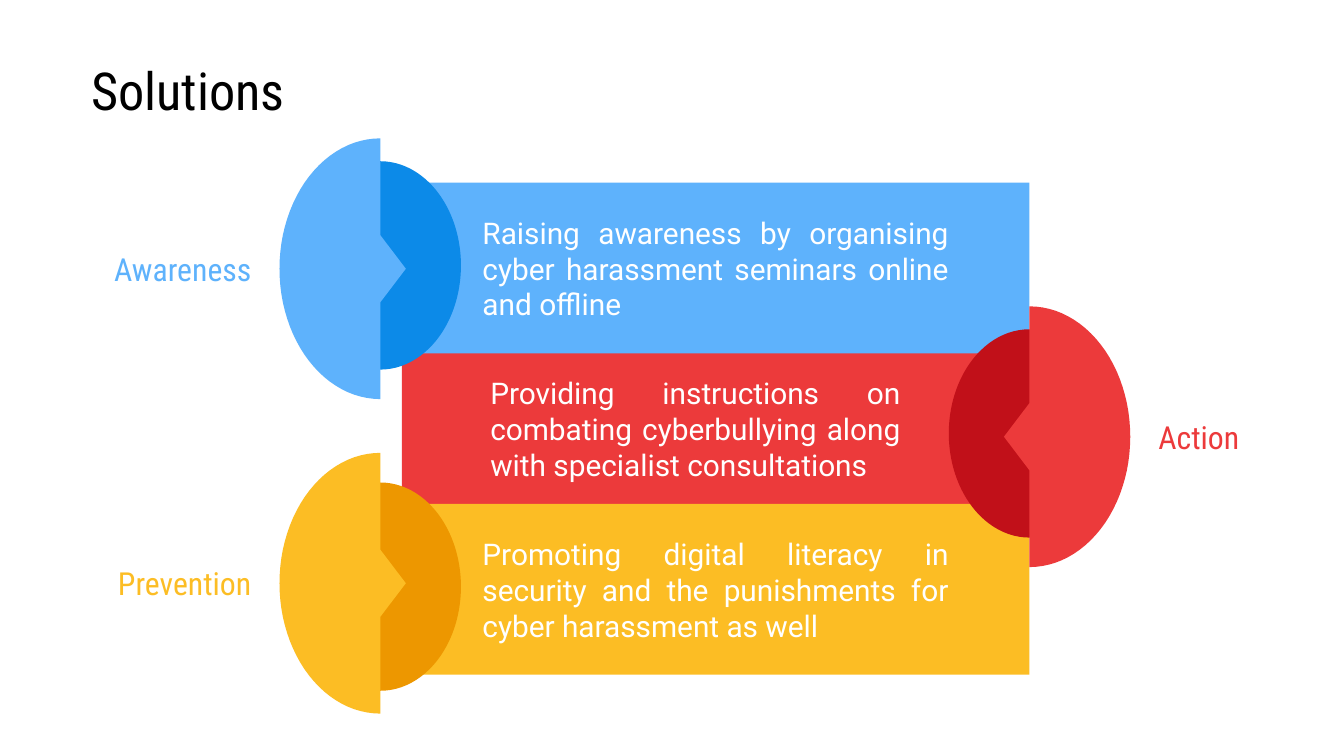
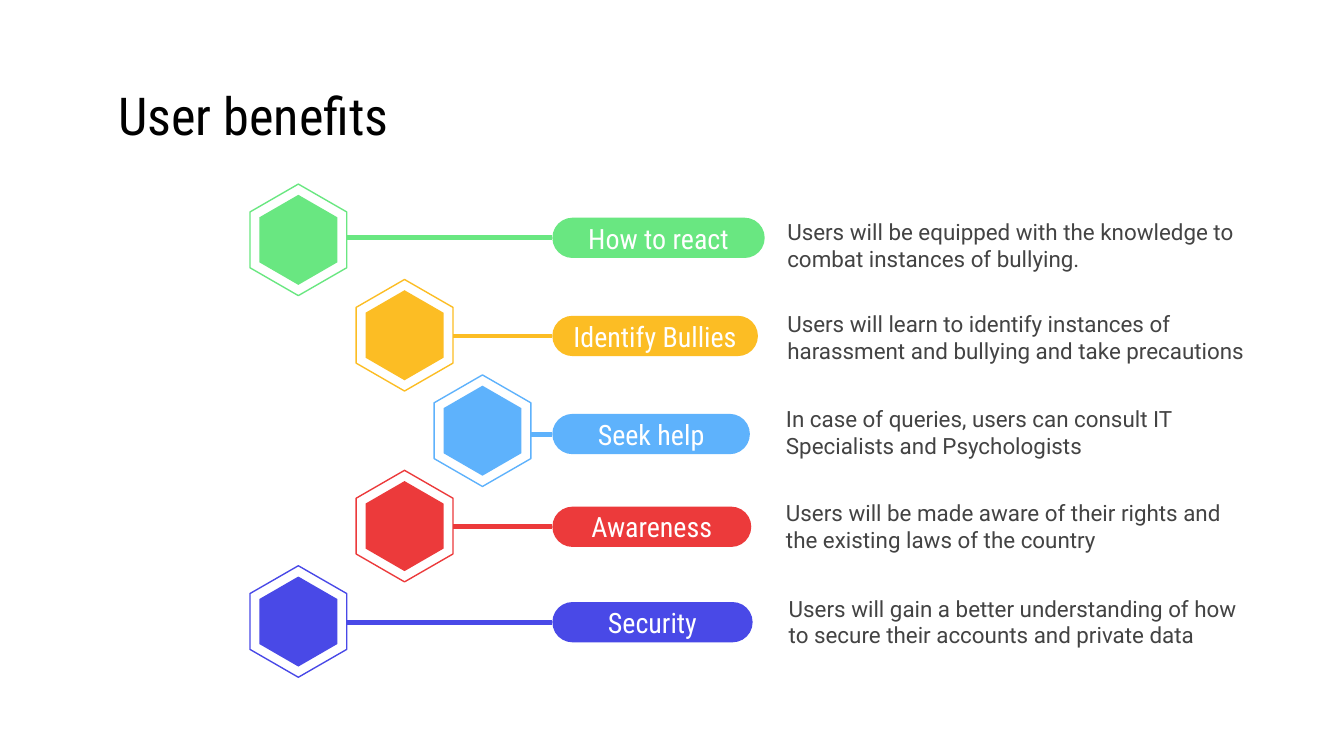
import math
from dataclasses import dataclass

import pptx
import pptx.dml.color
import pptx.enum.shapes
import pptx.enum.text
import pptx.oxml
import pptx.util

Inches = pptx.util.Inches
MSO = pptx.enum.shapes.MSO_SHAPE
ALIGN = pptx.enum.text.PP_ALIGN
ANCHOR = pptx.enum.text.MSO_ANCHOR
FIT = pptx.enum.text.MSO_AUTO_SIZE


@dataclass(frozen=True)
class Theme:
    heading: str = "Roboto Condensed"
    body: str = "Roboto"
    title_size: int = 28
    label_size: int = 17
    band_size: int = 16
    pill_size: int = 15
    note_size: int = 12
    black: str = "000000"
    white: str = "FFFFFF"
    gray: str = "434343"
    blue: str = "5EB2FC"
    deep_blue: str = "0C8AE8"
    red: str = "EC3A3B"
    deep_red: str = "C11019"
    yellow: str = "FCBD24"
    deep_yellow: str = "ED9700"
    green: str = "69E781"
    indigo: str = "4949E7"


@dataclass(frozen=True)
class Box:
    x: float
    y: float
    w: float
    h: float

    @property
    def emu(self):
        return [Inches(v) for v in (self.x, self.y, self.w, self.h)]

    @property
    def mid(self):
        return self.y + self.h / 2


T = Theme()


def rgb(color):
    return pptx.dml.color.RGBColor.from_string(color)


def paint(sp, fill, line=None, width=0.75):
    sp.shadow.inherit = False
    sp.fill.solid()
    sp.fill.fore_color.rgb = rgb(fill)
    if line:
        sp.line.color.rgb = rgb(line)
        sp.line.width = pptx.util.Pt(width)
    else:
        sp.line.fill.background()
    return sp


def write(sp, text, size, color, font, align=ALIGN.LEFT, anchor=ANCHOR.MIDDLE, side=0.1):
    tf = sp.text_frame
    tf.text = text
    tf.word_wrap = True
    tf.auto_size = FIT.NONE
    tf.vertical_anchor = anchor
    tf.margin_left = tf.margin_right = Inches(side)
    tf.margin_top = tf.margin_bottom = Inches(0.1)
    p = tf.paragraphs[0]
    p.alignment = align
    r = p.runs[0]
    r.font.size = pptx.util.Pt(size)
    r.font.name = font
    r.font.color.rgb = rgb(color)
    return tf


def add_shape(shapes, kind, box, fill):
    return paint(shapes.add_shape(kind, *box.emu), fill)


def add_polygon(shapes, points, fill, line=None):
    emu = [(Inches(x), Inches(y)) for x, y in points]
    builder = shapes.build_freeform(*emu[0])
    builder.add_line_segments(emu[1:], close=True)
    return paint(builder.convert_to_shape(), fill, line)


def add_line(shapes, x1, x2, y, color, width):
    c = shapes.add_connector(
        pptx.enum.shapes.MSO_CONNECTOR.STRAIGHT,
        Inches(x1), Inches(y), Inches(x2), Inches(y))
    c.line.color.rgb = rgb(color)
    c.line.width = pptx.util.Pt(width)
    effects = '<a:effectLst xmlns:a="http://schemas.openxmlformats.org/drawingml/2006/main"/>'
    c._element.spPr.append(pptx.oxml.parse_xml(effects))


def add_title_slide(prs, title, box):
    s = prs.slides.add_slide(prs.slide_layouts[5])
    sp = s.shapes.title
    sp.left, sp.top, sp.width, sp.height = box.emu
    write(sp, title, T.title_size, T.black, T.heading)
    return s


def add_band(s, box, color, text=None):
    sp = add_shape(s.shapes, MSO.RECTANGLE, box, color)
    if text:
        write(sp, text, T.band_size, T.white, T.body, ALIGN.JUSTIFY, side=0.6)


def add_dial(s, box, label, color, deep, disc_drop, points_right=True):
    shapes = s.shapes.add_group_shape().shapes
    radius, notch, steps = 0.75, 0.19, 48
    direction = 1 if points_right else -1
    cx = box.x + (radius if points_right else notch)
    add_shape(shapes, MSO.OVAL, Box(cx - 0.6, box.y + disc_drop, 1.2, 1.55), deep)

    angles = [math.pi * i / steps for i in range(steps + 1)]
    outline = [(cx - direction * radius * math.sin(a), box.mid - box.h / 2 * math.cos(a))
               for a in angles]
    outline += [(cx, box.mid + 0.25), (cx + direction * notch, box.mid), (cx, box.mid - 0.25)]
    add_polygon(shapes, outline, color)

    label_w = 1.77
    label_x = box.x - 0.11 - label_w if points_right else box.x + box.w + 0.11
    sp = shapes.add_textbox(*Box(label_x, box.mid - 0.25, label_w, 0.5).emu)
    write(sp, label, T.label_size, color, T.heading,
          ALIGN.RIGHT if points_right else ALIGN.LEFT)


def hexagon(box):
    cx, quarter = box.x + box.w / 2, box.h / 4
    right, bottom = box.x + box.w, box.y + box.h
    return [(cx, box.y), (box.x, box.y + quarter), (box.x, bottom - quarter),
            (cx, bottom), (right, bottom - quarter), (right, box.y + quarter)]


def add_benefit(s, hex_box, pill_box, note_box, color, name, note):
    shapes = s.shapes.add_group_shape().shapes
    add_line(shapes, hex_box.x + 0.65, pill_box.x, pill_box.mid, color, 2.65)
    add_polygon(shapes, hexagon(hex_box), T.white, color)
    core = Box(hex_box.x + 0.07, hex_box.y + 0.08, hex_box.w - 0.14, hex_box.h - 0.16)
    add_polygon(shapes, hexagon(core), color)
    pill = add_shape(shapes, MSO.ROUNDED_RECTANGLE, pill_box, color)
    pill.adjustments[0] = 0.5
    write(pill, name, T.pill_size, T.white, T.heading, ALIGN.CENTER)
    write(shapes.add_textbox(*note_box.emu), note, T.note_size, T.gray, T.body)


def build_solutions(prs):
    s = add_title_slide(prs, "Solutions", Box(0.58, 0.4, 8.45, 0.53))
    bands = [
        (2.57, T.red, None),
        (3.75, T.yellow, "Promoting digital literacy in security and the punishments "
                         "for cyber harassment as well"),
        (1.36, T.blue, "Raising awareness by organising cyber harassment seminars "
                       "online and offline"),
    ]
    for y, color, text in bands:
        add_band(s, Box(2.99, y, 4.67, 1.27), color, text)
    dials = [
        (2.08, 1.03, "Awareness", T.blue, T.deep_blue, 0.17, True),
        (7.47, 2.28, "Action", T.red, T.deep_red, 0.17, False),
        (2.08, 3.37, "Prevention", T.yellow, T.deep_yellow, 0.22, True),
    ]
    for x, y, *rest in dials:
        add_dial(s, Box(x, y, 0.94, 1.94), *rest)
    sp = s.shapes.add_textbox(*Box(3.55, 2.69, 3.25, 1.01).emu)
    tf = write(sp, "Providing instructions on combating cyberbullying along with "
                   "specialist consultations",
               T.band_size, T.white, T.body, ALIGN.JUSTIFY, ANCHOR.TOP)
    tf.auto_size = FIT.SHAPE_TO_FIT_TEXT


def build_benefits(prs):
    s = add_title_slide(prs, "User benefits", Box(0.78, 0.59, 8.45, 0.53))
    rows = [
        (1.86, 1.62, 1.58, Box(5.76, 1.56, 3.87, 0.53), T.green, "How to react",
         "Users will be equipped with the knowledge to combat instances of bullying."),
        (2.65, 2.35, 1.53, Box(5.76, 2.34, 3.87, 0.33), T.yellow, "Identify Bullies",
         "Users will learn to identify instances of harassment and bullying "
         "and take precautions"),
        (3.23, 3.08, 1.47, Box(5.75, 3.05, 3.47, 0.33), T.blue, "Seek help",
         "In case of queries, users can consult IT Specialists and Psychologists"),
        (2.65, 3.77, 1.48, Box(5.75, 3.75, 3.47, 0.33), T.red, "Awareness",
         "Users will be made aware of their rights and the existing laws of the country"),
        (1.86, 4.48, 1.49, Box(5.77, 4.46, 3.59, 0.33), T.indigo, "Security",
         "Users will gain a better understanding of how to secure their accounts "
         "and private data"),
    ]
    for i, (hex_x, pill_y, pill_w, *rest) in enumerate(rows):
        add_benefit(s, Box(hex_x, 1.37 + 0.71 * i, 0.72, 0.83),
                    Box(4.11, pill_y, pill_w, 0.3), *rest)


def main():
    prs = pptx.Presentation()
    prs.slide_width = Inches(10)
    prs.slide_height = prs.slide_width * 9 // 16
    build_solutions(prs)
    build_benefits(prs)
    prs.save("out.pptx")


if __name__ == "__main__":
    main()
